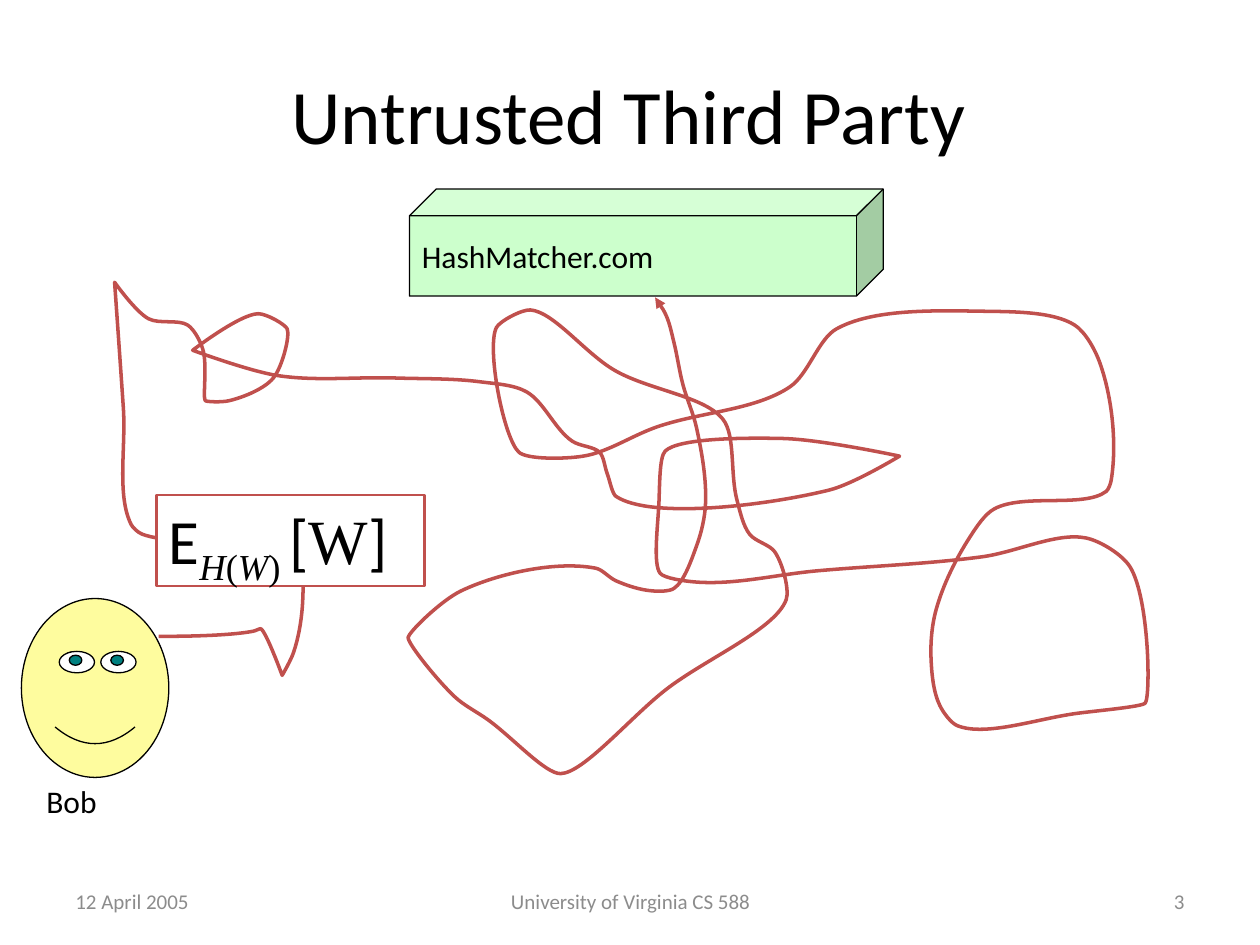
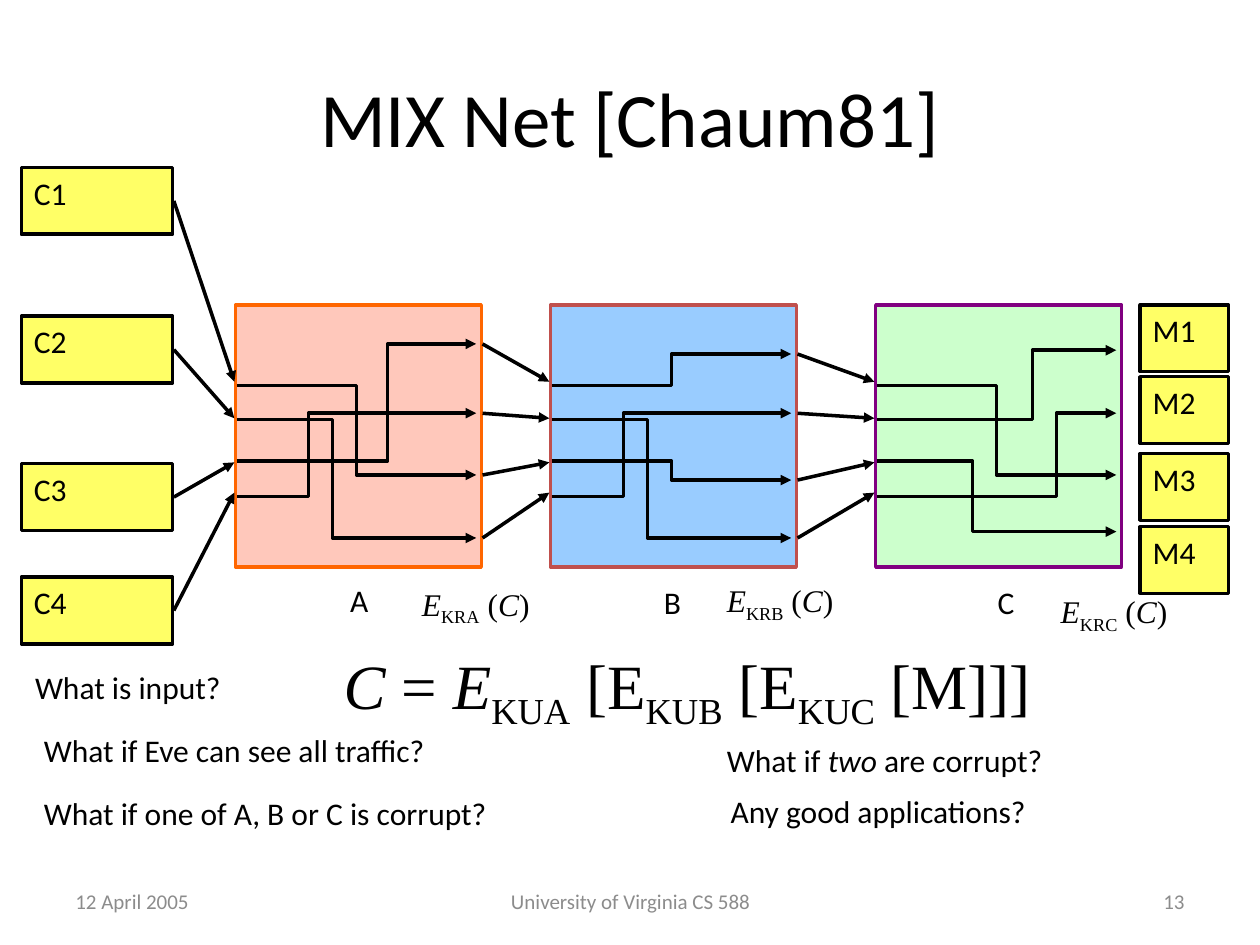
from math import dist
from lxml.etree import SubElement
from pptx import Presentation
from pptx.dml.color import RGBColor
from pptx.enum.shapes import MSO_CONNECTOR, MSO_SHAPE
from pptx.enum.text import MSO_ANCHOR, PP_ALIGN
from pptx.oxml.ns import qn
from pptx.util import Inches, Pt

BLACK = RGBColor(0, 0, 0)
WHITE = RGBColor(255, 255, 255)
GRAY = RGBColor.from_string("8C8C8C")
RED = RGBColor.from_string("C0504D")
SKIN = RGBColor.from_string("FEFC9E")
TEAL = RGBColor.from_string("008080")
MINT = RGBColor.from_string("CCFFCC")
YELLOW = RGBColor.from_string("FFFF66")
PEACH = RGBColor.from_string("FFC8BB")
ORANGE = RGBColor.from_string("FF6600")
SKY = RGBColor.from_string("99CCFF")
PURPLE = RGBColor.from_string("800080")

WIDTH, HEIGHT = 10, 7.5
SANS, SERIF = "Calibri", "Times New Roman"
SERIF_MARK, ITALIC_MARK, SUB_MARK = "t", "i", "s"

DATE, COURSE = "12 April 2005", "University of Virginia CS 588"
FOOTER_TOP, FOOTER_HEIGHT = 6.95, 0.4

ENCRYPTED_W = [("E", ""), ("H", "tis"), ("(", "ts"), ("W", "tis"), (") ", "ts"),
               ("[", ""), ("W", "t"), ("]", "")]
EYE_LEFTS, EYE_TOP = (0.47, 0.8), 5.17

ROUTE = [
    (1.26, 5.05), (2.01, 5.01), (2.07, 4.99), (2.24, 5.36), (2.33, 5.18), (2.4, 4.82),
    (2.38, 4.23), (1.13, 4.24), (1.04, 4.16), (0.98, 3.24), (0.91, 2.24), (1.18, 2.53),
    (1.49, 2.58), (1.61, 2.77), (1.63, 3.18), (1.82, 3.18), (2.17, 3), (2.28, 2.61),
    (2.05, 2.49), (1.53, 2.78), (2.2, 2.98), (3.14, 3), (3.81, 3.03), (4.18, 3.11),
    (4.54, 3.5), (4.76, 3.59), (4.82, 3.76), (4.89, 3.94), (6.58, 3.89), (7.14, 3.62),
    (6.21, 3.48), (5.28, 3.58), (5.23, 4), (5.24, 4.55), (5.53, 4.62), (6.49, 4.53),
    (7.79, 4.42), (8.62, 4.27), (8.97, 4.5), (9.09, 5.58), (8.56, 5.66), (7.6, 5.76),
    (7.46, 5.6), (7.39, 5.23), (7.43, 4.84), (7.7, 4.26), (7.89, 4.04), (8.78, 3.9),
    (8.82, 3.81), (8.73, 2.88), (8.53, 2.58), (7.8, 2.47), (6.64, 2.61), (6.27, 3.07),
    (5.21, 3.39), (4.63, 3.62), (4.12, 3.59), (3.94, 2.6), (4.21, 2.46), (4.88, 2.94),
    (5.74, 3.33), (5.85, 3.97), (5.95, 4.24), (6.15, 4.38), (6.24, 4.76), (5.29, 5.47),
    (4.45, 6.14), (3.87, 5.71), (3.61, 5.53), (3.24, 5.06), (3.66, 4.69), (4.73, 4.51),
    (4.89, 4.61), (5.18, 4.69), (5.35, 4.67), (5.53, 4.33), (5.6, 4), (5.53, 3.4),
    (5.42, 3.05), (5.35, 2.72), (5.29, 2.51), (5.2, 2.36),
]

MIX_TOP, MIX_WIDTH, MIX_HEIGHT = 2.42, 1.95, 2.08
LANES = (3.06, 3.33, 3.66, 3.94)
ARRIVALS = (3.03, 3.32, 3.67, 3.91)
LANE_INSET, LANE_LENGTH = 0.01, 1.9
MIXES = [
    dict(name="A", left=1.87, fill=PEACH, edge=ORANGE, name_at=(2.68, 4.56), key_at=(3.25, 4.59),
         exits=[(3.77, 0.5), (4.27, 0.4), (2.73, 0.63), (3.28, 0.3)]),
    dict(name="B", left=4.37, fill=SKY, edge=RED, name_at=(5.17, 4.58), key_at=(5.67, 4.56),
         exits=[(2.81, 0.5), (4.27, 0.4), (3.81, 0.5), (3.28, 0.3)]),
    dict(name="C", left=6.95, fill=MINT, edge=PURPLE, name_at=(7.82, 4.58), key_at=(8.32, 4.65),
         exits=[(3.77, 0.5), (2.78, 0.65), (4.22, 0.4), (3.28, 0.75)]),
]
CARD_HEIGHT = 0.53
CARD_STACKS = [("C", 0.17, 1.2, (1.33, 2.51, 3.68, 4.58)),
               ("M", 9.05, 0.7, (2.42, 2.99, 3.6, 4.18))]
FORMULA = [("C", "ti"), (" = ", "t"), ("E", "ti"), ("KUA", "ts"), (" [E", "t"), ("KUB", "ts"),
           (" [E", "t"), ("KUC", "ts"), (" [M]]]", "t")]
QUESTIONS = [
    (0.18, 5.25, "What is input?"),
    (0.25, 5.75, "What if Eve can see all traffic?"),
    (0.25, 6.25, "What if one of A, B or C is corrupt?"),
    (5.67, 5.83, [("What if ", ""), ("two", "i"), (" are corrupt?", "")]),
    (5.7, 6.24, "Any good applications?"),
]
QUESTION_WIDTH, LABEL_HEIGHT = 4, 0.5


def assign(target, values):
    for attribute, value in values.items():
        setattr(target, attribute, value)


def write(holder, content, size=18, color=BLACK, align=PP_ALIGN.LEFT, anchor=MSO_ANCHOR.TOP):
    frame = holder.text_frame
    assign(frame, dict(word_wrap=True, vertical_anchor=anchor))
    paragraph = frame.paragraphs[0]
    paragraph.alignment = align
    runs = [(content, "")] if isinstance(content, str) else content
    for words, marks in runs:
        run = paragraph.add_run()
        run.text = words
        assign(run.font, dict(name=SERIF if SERIF_MARK in marks else SANS,
                              size=Pt(size), italic=ITALIC_MARK in marks))
        run.font.color.rgb = color
        if SUB_MARK in marks:
            run._r.get_or_add_rPr().set("baseline", "-25000")


def add_label(slide, box, content, **style):
    write(slide.shapes.add_textbox(*map(Inches, box)), content, **style)


def outline(item, color, weight):
    item.line.color.rgb = color
    item.line.width = Pt(weight)


def add_block(slide, kind, box, fill, edge=BLACK, weight=0.75, content=None, **style):
    block = slide.shapes.add_shape(kind, *map(Inches, box))
    block.shadow.inherit = False
    block.fill.solid()
    block.fill.fore_color.rgb = fill
    outline(block, edge, weight)
    if content:
        write(block, content, **style)


def add_arrowhead(item):
    SubElement(item.line._get_or_add_ln(), qn("a:tailEnd"), type="triangle")


def add_arrow(slide, ends, bend=None):
    kind = MSO_CONNECTOR.STRAIGHT if bend is None else MSO_CONNECTOR.ELBOW
    arrow = slide.shapes.add_connector(kind, *map(Inches, ends))
    outline(arrow, BLACK, 2)
    add_arrowhead(arrow)
    properties = arrow._element.spPr
    SubElement(properties, qn("a:effectLst"))
    if bend is not None:
        guides = next(properties.iter(qn("a:avLst")))
        SubElement(guides, qn("a:gd"), name="adj1", fmla=f"val {round(bend * 100000)}")


def find_tangent(before, knot, after):
    arriving, leaving = dist(before, knot), dist(knot, after)
    if not arriving or not leaving:
        return 0, 0
    incoming = [(b - a) / arriving for a, b in zip(before, knot)]
    outgoing = [(b - a) / leaving for a, b in zip(knot, after)]
    straightness = max(0, sum(a * b for a, b in zip(incoming, outgoing)))
    total = dist(incoming, (-outgoing[0], -outgoing[1])) or 1
    return [straightness ** 0.5 * (a + b) / total for a, b in zip(incoming, outgoing)]


def smooth(knots):
    padded = [knots[0], *knots, knots[-1]]
    tangents = [find_tangent(*trio) for trio in zip(padded, padded[1:], padded[2:])]
    points = []
    for start, end, leave, arrive in zip(knots, knots[1:], tangents, tangents[1:]):
        reach = dist(start, end) / 3
        points += [[p + reach * t for p, t in zip(start, leave)],
                   [p - reach * t for p, t in zip(end, arrive)], end]
    return points


def add_route(slide, knots):
    builder = slide.shapes.build_freeform(*map(Inches, knots[0]))
    builder.add_line_segments([tuple(map(Inches, p)) for p in smooth(knots)], close=False)
    route = builder.convert_to_shape()
    route.shadow.inherit = False
    route.fill.background()
    outline(route, RED, 2)
    add_arrowhead(route)
    segments = list(route._element.iter(qn("a:lnTo")))
    for first in range(0, len(segments), 3):
        curve = SubElement(segments[first].getparent(), qn("a:cubicBezTo"))
        for segment in segments[first:first + 3]:
            curve.append(segment[0])
            segment.getparent().remove(segment)


def start_slide(deck, title, title_box, number):
    slide = deck.slides.add_slide(deck.slide_layouts[6])
    footers = [(0.5, 2.33, DATE, PP_ALIGN.LEFT), (3.42, 3.17, COURSE, PP_ALIGN.CENTER),
               (7.17, 2.33, str(number), PP_ALIGN.RIGHT)]
    for left, width, words, align in footers:
        add_label(slide, (left, FOOTER_TOP, width, FOOTER_HEIGHT), words, size=12,
                  color=GRAY, align=align, anchor=MSO_ANCHOR.MIDDLE)
    add_label(slide, title_box, title, size=44, align=PP_ALIGN.CENTER, anchor=MSO_ANCHOR.MIDDLE)
    return slide


def build_third_party(deck):
    slide = start_slide(deck, "Untrusted Third Party", (0.74, 0.28, 8.5, 1.25), 3)
    add_route(slide, ROUTE)
    add_label(slide, (0.27, 6.16, 0.8, LABEL_HEIGHT), "Bob")
    add_block(slide, MSO_SHAPE.SMILEY_FACE, (0.17, 4.75, 1.17, 1.42), SKIN)
    for left in EYE_LEFTS:
        add_block(slide, MSO_SHAPE.OVAL, (left, EYE_TOP, 0.28, 0.17), WHITE)
        add_block(slide, MSO_SHAPE.OVAL, (left + 0.08, EYE_TOP + 0.03, 0.1, 0.08), TEAL)
    add_block(slide, MSO_SHAPE.RECTANGLE, (1.24, 3.93, 2.13, 0.72), WHITE, RED, 1.5,
              ENCRYPTED_W, size=36)
    add_block(slide, MSO_SHAPE.CUBE, (3.25, 1.5, 3.76, 0.85), MINT,
              content="HashMatcher.com", anchor=MSO_ANCHOR.MIDDLE)


def build_mix_net(deck):
    slide = start_slide(deck, "MIX Net [Chaum81]", (0.5, 0.3, 9, 1.25), 13)
    for letter, left, width, tops in CARD_STACKS:
        for index, top in enumerate(tops, 1):
            add_block(slide, MSO_SHAPE.RECTANGLE, (left, top, width, CARD_HEIGHT), YELLOW,
                      BLACK, 2, f"{letter}{index}")
    _, card_left, card_width, card_tops = CARD_STACKS[0]
    source_right = card_left + card_width
    source_heights = [top + CARD_HEIGHT / 2 for top in card_tops]
    for mix in MIXES:
        name, left = mix["name"], mix["left"]
        add_block(slide, MSO_SHAPE.RECTANGLE, (left, MIX_TOP, MIX_WIDTH, MIX_HEIGHT),
                  mix["fill"], mix["edge"], 2)
        entry = left + LANE_INSET
        for lane, (end, bend) in zip(LANES, mix["exits"]):
            add_arrow(slide, (entry, lane, entry + LANE_LENGTH, end), bend)
        for height, arrival in zip(source_heights, ARRIVALS):
            add_arrow(slide, (source_right + LANE_INSET, height, left - LANE_INSET, arrival))
        source_right = left + MIX_WIDTH
        source_heights = sorted(end for end, _ in mix["exits"])
        add_label(slide, (*mix["name_at"], 0.44, LABEL_HEIGHT), name)
        decryption = [("E", "ti"), (f"KR{name}", "ts"), (" (", "t"), ("C", "ti"), (")", "t")]
        add_label(slide, (*mix["key_at"], 1.4, LABEL_HEIGHT), decryption)
    add_label(slide, (2.63, 5.08, 5.94, 0.7), FORMULA, size=36)
    for left, top, question in QUESTIONS:
        add_label(slide, (left, top, QUESTION_WIDTH, LABEL_HEIGHT), question)


def main():
    deck = Presentation()
    assign(deck, dict(slide_width=Inches(WIDTH), slide_height=Inches(HEIGHT)))
    build_third_party(deck)
    build_mix_net(deck)
    deck.save("out.pptx")


if __name__ == "__main__":
    main()
